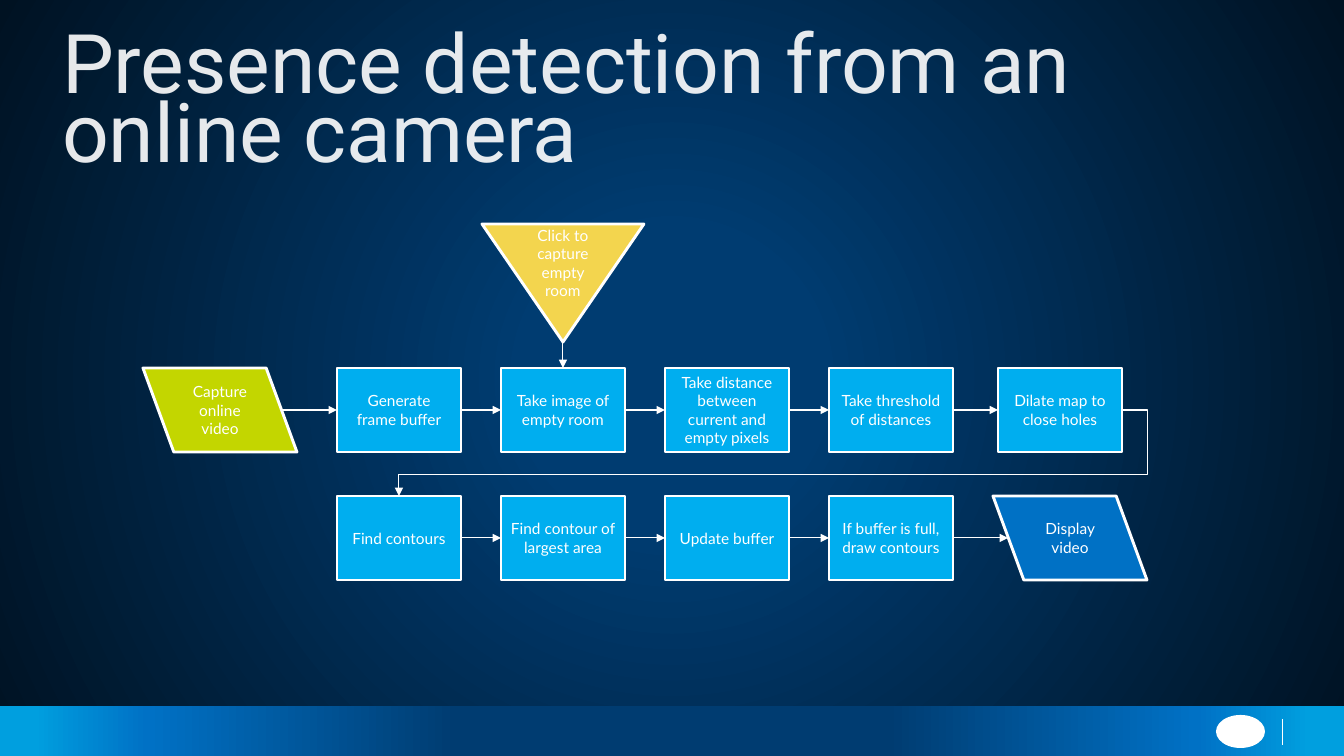
from dataclasses import dataclass

from lxml import etree
from pptx import Presentation
from pptx import util as u
from pptx.dml.color import RGBColor
from pptx.enum import shapes, text
from pptx.oxml import ns

PX = 12192000 / 1344  # EMU in one px

WHITE = RGBColor(0xFF, 0xFF, 0xFF)
NAVY = RGBColor(0x00, 0x3C, 0x71)
MIDNIGHT = RGBColor(0x00, 0x12, 0x22)
BLUE = RGBColor(0x00, 0x71, 0xC5)
SKY = RGBColor(0x00, 0x9F, 0xDF)
CYAN = RGBColor(0x00, 0xAE, 0xEF)
LIME = RGBColor(0xC3, 0xD6, 0x00)
YELLOW = RGBColor(0xF3, 0xD5, 0x4E)

PROCESS = shapes.MSO_SHAPE.FLOWCHART_PROCESS
DATA = shapes.MSO_SHAPE.FLOWCHART_DATA
MERGE = shapes.MSO_SHAPE.FLOWCHART_MERGE
TOP, BOTTOM, LEFT, RIGHT = 0, 2, 1, 3

BOX_W, BOX_H = 124, 84
DATA_W = 154
DATA_SLANT = 15  # from the bounding box to the middle of the slanted side
COLUMNS = [337 + 164 * i for i in range(4)] + [998]
ROWS = [368, 496]


@dataclass(frozen=True)
class Node:
    label: str
    left: int
    top: int
    width: int = BOX_W
    height: int = BOX_H
    kind: shapes.MSO_SHAPE = PROCESS
    fill: RGBColor = CYAN

    @property
    def middle(self) -> int:
        return self.top + self.height // 2

    @property
    def center(self) -> int:
        return self.left + self.width // 2


STEPS = [
    ["Generate frame buffer", "Take image of empty room",
     "Take distance between current and empty pixels",
     "Take threshold of distances", "Dilate map to close holes"],
    ["Find contours", "Find contour of largest area", "Update buffer",
     "If buffer is full, draw contours"],
]
PROCESS_ROWS = [[Node(label, left, top) for label, left in zip(labels, COLUMNS)]
                for labels, top in zip(STEPS, ROWS)]
CAPTURE = Node("Capture online\nvideo", 143, ROWS[0], DATA_W, kind=DATA, fill=LIME)
DISPLAY = Node("Display video", 993, ROWS[1], DATA_W, kind=DATA, fill=BLUE)
CLICK = Node("Click to capture empty room", 482, 224, 162, 118, MERGE, YELLOW)


def px(n: float) -> u.Emu:
    return u.Emu(round(n * PX))


def set_gradient(parent, stops: list[tuple[float, RGBColor]], radial: bool = False) -> None:
    """Fill the gradFill below parent with stops given in percent."""
    grad = next(parent.iter(ns.qn("a:gradFill")))
    for child in list(grad):
        grad.remove(child)
    gs_list = etree.SubElement(grad, ns.qn("a:gsLst"))
    for percent, color in stops:
        gs = etree.SubElement(gs_list, ns.qn("a:gs"), pos=str(round(percent * 1000)))
        etree.SubElement(gs, ns.qn("a:srgbClr"), val=str(color))
    if radial:
        shade = etree.SubElement(grad, ns.qn("a:path"), path="circle")
        etree.SubElement(shade, ns.qn("a:fillToRect"),
                         {side: "50000" for side in "ltrb"})
    else:
        etree.SubElement(grad, ns.qn("a:lin"), ang="0", scaled="0")


def add_title(slide, label: str) -> None:
    sp = slide.shapes.title
    sp.left, sp.top, sp.width, sp.height = px(52), px(33), px(1240), px(80)
    tf = sp.text_frame
    tf.text = label
    tf.word_wrap = True
    tf.auto_size = text.MSO_AUTO_SIZE.NONE
    tf.vertical_anchor = text.MSO_ANCHOR.TOP
    p = tf.paragraphs[0]
    p.alignment = text.PP_ALIGN.LEFT
    p.line_spacing = 0.7
    p.font.size = u.Pt(58.7)
    p.font.name = "Roboto"
    p.font.color.rgb = WHITE
    color = next(p._p.iter(ns.qn("a:srgbClr")))
    etree.SubElement(color, ns.qn("a:alpha"), val="90000")


def add_node(slide, node: Node):
    sp = slide.shapes.add_shape(node.kind, px(node.left), px(node.top),
                                px(node.width), px(node.height))
    sp.shadow.inherit = False
    sp.fill.solid()
    sp.fill.fore_color.rgb = node.fill
    sp.line.color.rgb = WHITE
    sp.line.width = u.Pt(2.08)
    if node.kind == DATA:
        sp._element.spPr.find(ns.qn("a:xfrm")).set("flipH", "1")
    tf = sp.text_frame
    tf.text = node.label
    tf.word_wrap = True
    tf.vertical_anchor = text.MSO_ANCHOR.MIDDLE
    if node.kind == MERGE:
        tf.vertical_anchor = text.MSO_ANCHOR.TOP
        tf.margin_top, tf.margin_bottom = px(2), 0
    for p in tf.paragraphs:
        p.alignment = text.PP_ALIGN.CENTER
        p.font.size = u.Pt(11)
        p.font.name = "Lato"
        p.font.color.rgb = WHITE
    return sp


def add_line(slide, start: tuple[int, int], end: tuple[int, int], width: float = 0.75,
             arrow: bool = True, kind=shapes.MSO_CONNECTOR.STRAIGHT):
    line = slide.shapes.add_connector(kind, *map(px, start + end))
    line.line.color.rgb = WHITE
    line.line.width = u.Pt(width)
    if arrow:
        etree.SubElement(line.line._get_or_add_ln(), ns.qn("a:tailEnd"), type="triangle")
    etree.SubElement(line._element.spPr, ns.qn("a:effectLst"))
    return line


def add_return_arrow(slide, last: Node, first: Node) -> None:
    """Lead from the end of the upper row round to the start of the lower one."""
    line = add_line(slide, (last.left + last.width, last.middle), (first.center, first.top),
                    kind=shapes.MSO_CONNECTOR.ELBOW)
    geom = line._element.spPr.find(ns.qn("a:prstGeom"))
    geom.set("prst", "bentConnector4")
    guides = geom.get_or_add_avLst()
    for name, value in (("adj1", -3500), ("adj2", 74600)):
        etree.SubElement(guides, ns.qn("a:gd"), name=name, fmla=f"val {value}")


def add_footer(slide) -> None:
    bar = slide.shapes.add_shape(shapes.MSO_SHAPE.RECTANGLE, 0, px(706), px(1344), px(50))
    bar.shadow.inherit = False
    bar.line.fill.background()
    bar.fill.gradient()
    half = [(2.5, SKY), (11, BLUE), (34, NAVY)]
    set_gradient(bar._element, half + [(100 - at, color) for at, color in reversed(half)])
    add_line(slide, (1282, 719), (1282, 745), 0.25, arrow=False)
    badge = slide.shapes.add_shape(shapes.MSO_SHAPE.OVAL, px(1216), px(715), px(49), px(33))
    badge.shadow.inherit = False
    badge.fill.solid()
    badge.fill.fore_color.rgb = WHITE
    badge.line.fill.background()


def add_flowchart(slide) -> None:
    rows = [[add_node(slide, node) for node in row] for row in PROCESS_ROWS]
    for nodes, boxes in zip(PROCESS_ROWS, rows):
        for i in range(len(nodes) - 1):
            y = nodes[i].middle
            line = add_line(slide, (nodes[i].left + BOX_W, y), (nodes[i + 1].left, y))
            line.begin_connect(boxes[i], RIGHT)
            line.end_connect(boxes[i + 1], LEFT)

    upper, lower = PROCESS_ROWS
    add_node(slide, CAPTURE)
    line = add_line(slide, (CAPTURE.left + DATA_W - DATA_SLANT, CAPTURE.middle),
                    (upper[0].left, CAPTURE.middle))
    line.end_connect(rows[0][0], LEFT)

    add_node(slide, DISPLAY)
    line = add_line(slide, (lower[-1].left + BOX_W, DISPLAY.middle),
                    (DISPLAY.left + DATA_SLANT, DISPLAY.middle))
    line.begin_connect(rows[1][-1], RIGHT)

    click = add_node(slide, CLICK)
    line = add_line(slide, (CLICK.center, CLICK.top + CLICK.height),
                    (upper[1].center, upper[1].top))
    line.begin_connect(click, BOTTOM)
    line.end_connect(rows[0][1], TOP)
    add_return_arrow(slide, upper[-1], lower[0])


def main() -> None:
    prs = Presentation()
    prs.slide_width, prs.slide_height = px(1344), px(756)
    slide = prs.slides.add_slide(prs.slide_layouts[5])
    slide.background.fill.gradient()
    set_gradient(slide.background._cSld, [(0, NAVY), (19, NAVY), (100, MIDNIGHT)], radial=True)
    add_footer(slide)
    add_title(slide, "Presence detection from an online camera")
    add_flowchart(slide)
    prs.save("out.pptx")


if __name__ == "__main__":
    main()
